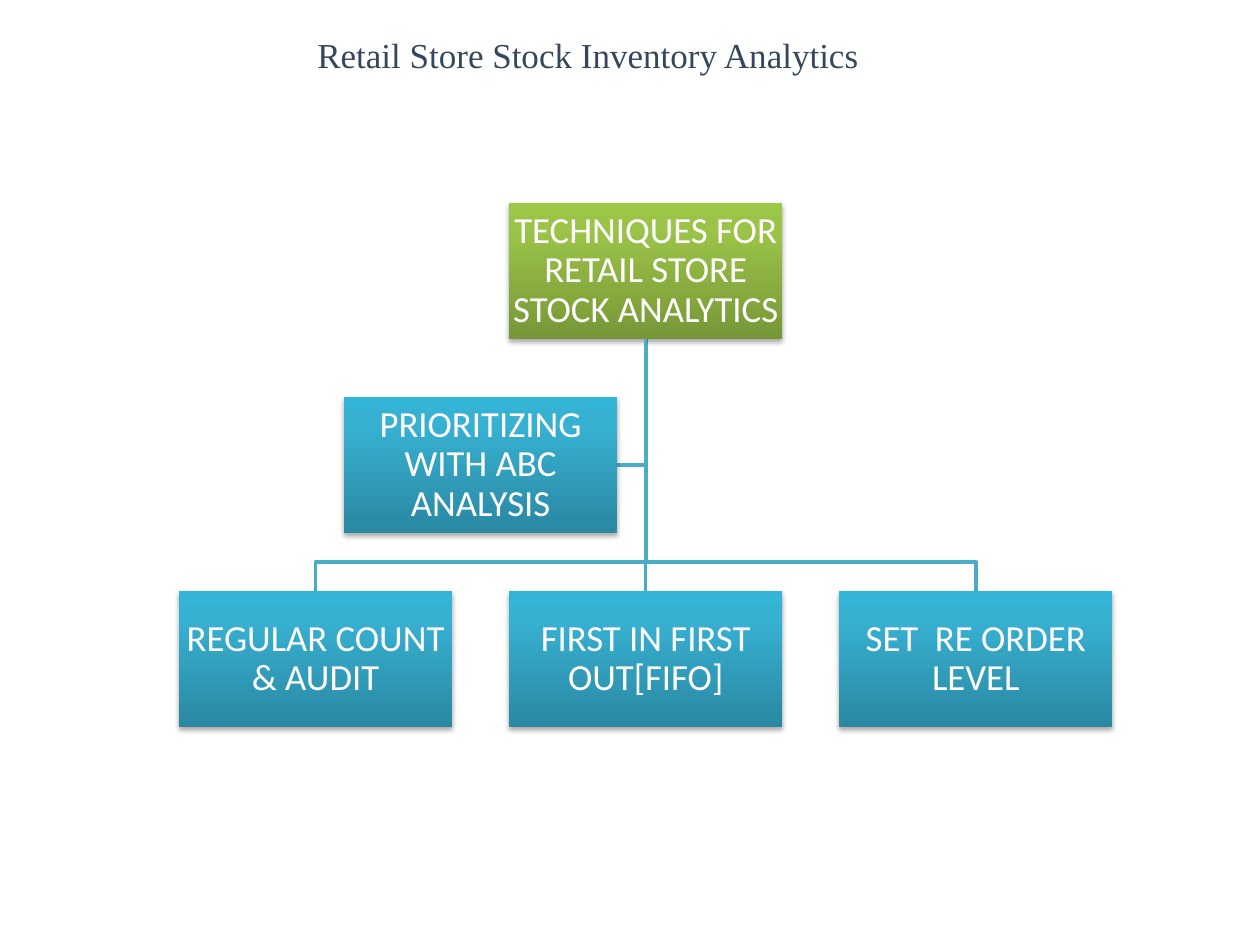
from pptx import Presentation
from pptx.util import Inches, Pt
from pptx.dml.color import RGBColor
from pptx.enum.shapes import MSO_SHAPE as Shape, MSO_CONNECTOR as Conn
from pptx.enum.text import PP_ALIGN as Align, MSO_ANCHOR as Anchor, MSO_AUTO_SIZE as Auto
from pptx.oxml import parse_xml
from pptx.oxml.ns import nsdecls

# Content: text, column, row, gradient
GREEN = ("779737", "9BC348", "9DC746")
BLUE = ("2A88A2", "37B1D2", "34B4D6")
TITLE = "Retail Store Stock Inventory Analytics"
BOXES = {
    "root": ("TECHNIQUES FOR RETAIL STORE STOCK ANALYTICS", 1, 0, GREEN),
    "count": ("REGULAR COUNT & AUDIT", 0, 2, BLUE),
    "fifo": ("FIRST IN FIRST OUT[FIFO]", 1, 2, BLUE),
    "order": ("SET  RE ORDER LEVEL", 2, 2, BLUE),
    "abc": ("PRIORITIZING WITH ABC ANALYSIS", 0.5, 1, BLUE),
}
INK = RGBColor(0x35, 0x47, 0x5C)
WHITE = RGBColor(0xFF, 0xFF, 0xFF)
LINE = RGBColor(0x4B, 0xAC, 0xC6)

# Grid, in inches
LEFT, TOP = 1.42, 1.61
WIDE, HIGH = 2.17, 1.08
STEP_X, STEP_Y = 2.62, 1.54
BEND = 0.23  # height of the bend above the bottom row

prs = Presentation()
prs.slide_width, prs.slide_height = Inches(10), Inches(7.5)
slide = prs.slides.add_slide(prs.slide_layouts[6])
shapes = slide.shapes


def place(key):
    col, row = BOXES[key][1:3]
    return LEFT + col * STEP_X, TOP + row * STEP_Y


def add_run(para, text, font, size, color):
    run = para.add_run()
    run.text = text
    run.font.name, run.font.size = font, Pt(size)
    run.font.color.rgb = color


def set_line(part):
    part.line.color.rgb = LINE
    part.line.width = Pt(2)


def add_path(points):
    dots = [(Inches(x), Inches(y)) for x, y in points]
    pen = shapes.build_freeform(*dots[0])
    pen.add_line_segments(dots[1:], close=False)
    path = pen.convert_to_shape()
    path.fill.background()
    path.shadow.inherit = False
    set_line(path)


def add_box(key):
    text, _, _, tones = BOXES[key]
    x, y = place(key)
    box = shapes.add_shape(Shape.RECTANGLE, Inches(x), Inches(y), Inches(WIDE), Inches(HIGH))
    box.line.fill.background()
    # Gradient from bottom to top, and a soft shadow below
    stops = "".join(f'<a:gs pos="{pos}"><a:srgbClr val="{tone}"/></a:gs>'
                    for pos, tone in zip((0, 80000, 100000), tones))
    props = box.element.spPr
    props.insert(2, parse_xml(
        f'<a:gradFill {nsdecls("a")} rotWithShape="1"><a:gsLst>{stops}</a:gsLst>'
        '<a:lin ang="16200000" scaled="0"/></a:gradFill>'))
    props.append(parse_xml(
        f'<a:effectLst {nsdecls("a")}><a:outerShdw blurRad="40000" dist="23000" dir="5400000" '
        'rotWithShape="0"><a:srgbClr val="000000"><a:alpha val="35000"/></a:srgbClr>'
        '</a:outerShdw></a:effectLst>'))
    frame = box.text_frame
    frame.word_wrap, frame.vertical_anchor = True, Anchor.MIDDLE
    frame.margin_left = frame.margin_right = Inches(0.01)
    frame.margin_top = frame.margin_bottom = Inches(0.01)
    para = frame.paragraphs[0]
    para.alignment, para.line_spacing = Align.CENTER, 0.9
    add_run(para, text, "Calibri", 21, WHITE)
    return box


# Bent branches from the root
x, y = place("root")
mid, base = x + WIDE / 2, y + HIGH
x, y = place("abc")
add_path([(mid, base), (mid, y + HIGH / 2), (x + WIDE, y + HIGH / 2)])
for key in ("order", "count"):
    x, y = place(key)
    end = x + WIDE / 2
    add_path([(mid, base), (mid, y - BEND), (end, y - BEND), (end, y)])

# Boxes, then the straight trunk
boxes = {key: add_box(key) for key in BOXES}
trunk = shapes.add_connector(Conn.STRAIGHT, 0, 0, 0, 0)
trunk.begin_connect(boxes["root"], 2)
trunk.end_connect(boxes["fifo"], 0)
set_line(trunk)
trunk.element.spPr.append(parse_xml(f'<a:effectLst {nsdecls("a")}/>'))

# Title
head = shapes.add_textbox(Inches(2.42), Inches(0.22), Inches(5), Inches(0.44)).text_frame
head.word_wrap, head.auto_size = True, Auto.SHAPE_TO_FIT_TEXT
add_run(head.paragraphs[0], TITLE, "Times New Roman", 20, INK)

prs.save("out.pptx")
